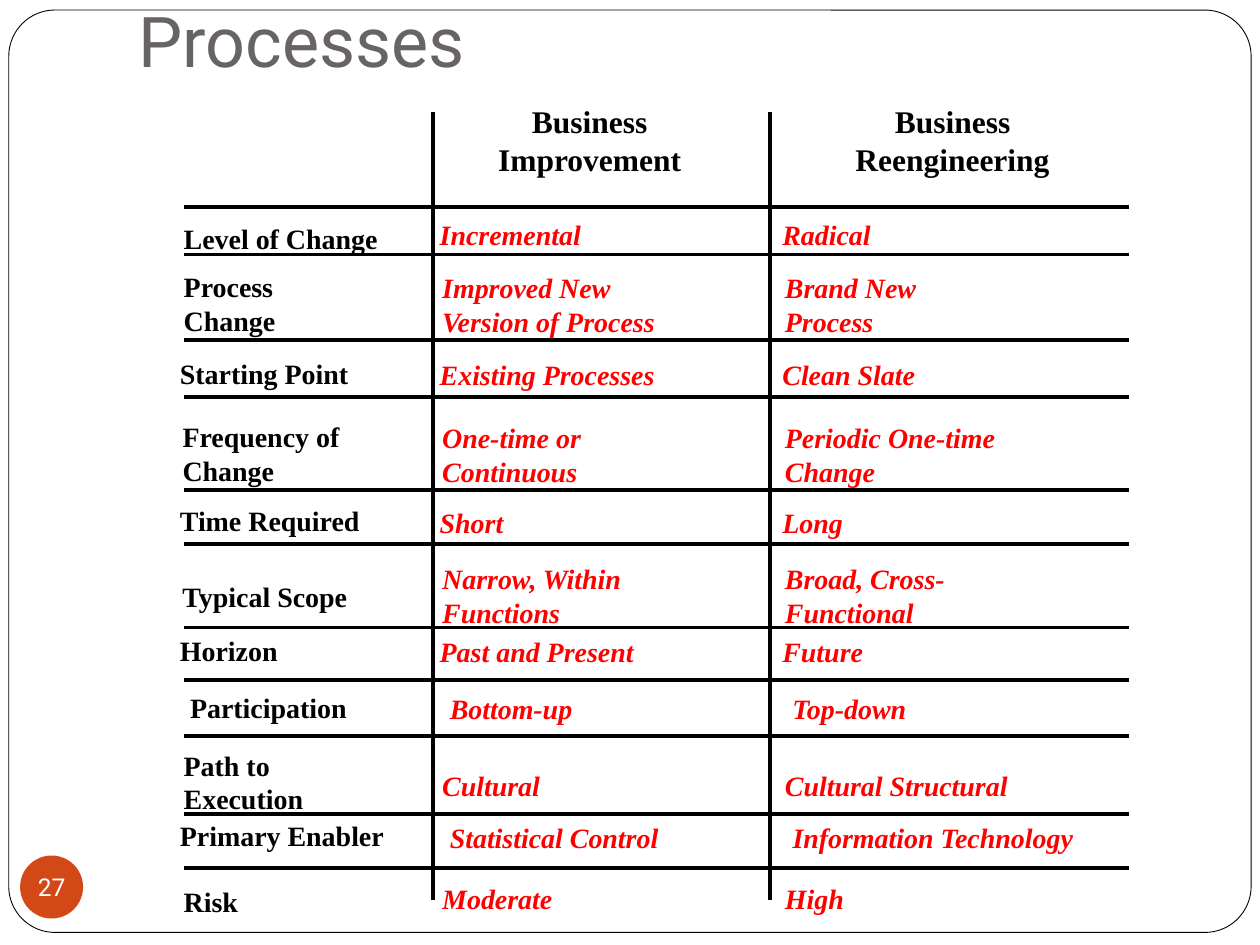
from pptx import Presentation
from pptx.dml.color import RGBColor
from pptx.enum.shapes import MSO_CONNECTOR, MSO_SHAPE
from pptx.enum.text import MSO_ANCHOR, MSO_AUTO_SIZE, PP_ALIGN
from pptx.oxml.ns import qn
from pptx.util import Inches, Pt

LEFT, CENTER = PP_ALIGN.LEFT, PP_ALIGN.CENTER
TOP, MIDDLE, BOTTOM = MSO_ANCHOR.TOP, MSO_ANCHOR.MIDDLE, MSO_ANCHOR.BOTTOM
FIT_SHAPE, NO_FIT = MSO_AUTO_SIZE.SHAPE_TO_FIT_TEXT, MSO_AUTO_SIZE.NONE

THEME = {
    "sans": "Roboto", "serif": "Times New Roman",
    "ink": "000000", "paper": "FFFFFF", "title": "696464",
    "accent": "D34817", "value": "FF0000",
    "title_size": 40, "header_size": 18, "body_size": 16, "number_size": 14,
    "rule": 2.25, "frame": 0.5,
}

# Content
TITLE = "Processes"
PAGE_NUMBER = "27"
# text, left, width
HEADERS = [("Business\nImprovement", 3.83, 1.70), ("Business\nReengineering", 6.67, 1.78)]
# label (text, left, top, width), value top, value indent, values (text, width)
ROWS = [
    (("Level of Change", 1.36, 1.71, 1.78), 1.67, 0,
     ("Incremental", 1.36), ("Radical", 0.94)),
    (("Process\nChange", 1.36, 2.09, 0.95), 2.09, 0.02,
     ("Improved New\nVersion of Process", 1.93), ("Brand New\nProcess", 1.28)),
    (("Starting Point", 1.33, 2.78, 1.57), 2.78, 0,
     ("Existing Processes", 1.95), ("Clean Slate", 1.29)),
    (("Frequency of\nChange", 1.35, 3.28, 1.48), 3.28, 0.02,
     ("One-time or\nContinuous", 1.34), ("Periodic One-time\nChange", 1.92)),
    (("Time Required", 1.33, 3.95, 1.67), 3.95, 0,
     ("Short", 0.74), ("Long", 0.71)),
    (("Typical Scope", 1.35, 4.55, 1.56), 4.40, 0.02,
     ("Narrow, Within\nFunctions", 1.66), ("Broad, Cross-\nFunctional", 1.51)),
    (("Horizon", 1.33, 4.98, 1.00), 4.98, 0,
     ("Past and Present", 1.78), ("Future", 0.87)),
    (("Participation", 1.41, 5.43, 1.48), 5.43, 0.08,
     ("Bottom-up", 1.21), ("Top-down", 1.14)),
    (("Path to\nExecution", 1.36, 5.89, 1.17), 6.04, 0.02,
     ("Cultural", 1.01), ("Cultural Structural", 2.02)),
    (("Primary Enabler", 1.33, 6.45, 1.86), 6.45, 0.08,
     ("Statistical Control", 1.91), ("Information Technology", 2.48)),
    (("Risk", 1.36, 6.97, 0.64), 6.94, 0.02,
     ("Moderate", 1.11), ("High", 0.70)),
]

# Grid
VALUE_LEFTS = (3.38, 6.10)
COLUMN_RULES = (3.44, 6.11)
COLUMN_SPAN = (0.89, 7.14)
ROW_RULES = (1.64, 2.02, 2.70, 3.15, 3.89, 4.32, 4.98, 5.40, 5.84, 6.46, 6.89)
ROW_SPAN = (1.46, 8.96)
HEADER_TOP = 0.75
LABEL_INSETS, VALUE_INSETS = (0.1, 0.05, 0.1, 0.05), (0.11, 0.06, 0.11, 0.06)


def color(name):
    return RGBColor.from_string(THEME[name])


def write(shape, text, size, ink, face="serif", align=LEFT, anchor=TOP,
          insets=LABEL_INSETS, wrap=False, fit=NO_FIT, bold=False, italic=False):
    frame = shape.text_frame
    frame.word_wrap, frame.auto_size, frame.vertical_anchor = wrap, fit, anchor
    (frame.margin_left, frame.margin_top,
     frame.margin_right, frame.margin_bottom) = map(Inches, insets)
    for index, line in enumerate(text.split("\n")):
        para = frame.add_paragraph() if index else frame.paragraphs[0]
        para.alignment = align
        span = para.add_run()
        span.text = line
        font = span.font
        font.name, font.size = THEME[face], Pt(THEME[size])
        font.bold, font.italic = bold, italic
        font.color.rgb = color(ink)


def add_cell(page, text, left, top, width, size="body_size", ink="ink", **style):
    lines = text.count("\n") + 1
    inset = style.get("insets", LABEL_INSETS)[1]
    height = lines * THEME[size] * 1.17 / 72 + 2 * inset
    box = page.shapes.add_textbox(*map(Inches, (left, top, width, height)))
    write(box, text, size, ink, fit=FIT_SHAPE, bold=True, **style)


def add_panel(page, kind, left, top, width, height, fill):
    panel = page.shapes.add_shape(kind, *map(Inches, (left, top, width, height)))
    panel.shadow.inherit = False
    panel.fill.solid()
    panel.fill.fore_color.rgb = color(fill)
    return panel


def add_rule(page, x1, y1, x2, y2):
    rule = page.shapes.add_connector(MSO_CONNECTOR.STRAIGHT, *map(Inches, (x1, y1, x2, y2)))
    rule.line.color.rgb = color("ink")
    rule.line.width = Pt(THEME["rule"])
    properties = rule._element.spPr
    properties.append(properties.makeelement(qn("a:effectLst"), {}))


def main():
    deck = Presentation()
    deck.slide_width, deck.slide_height = Inches(10), Inches(7.5)
    page = deck.slides.add_slide(deck.slide_layouts[5])

    # Frame, sent behind the title
    border = add_panel(page, MSO_SHAPE.ROUNDED_RECTANGLE, 0.07, 0.08, 9.86, 7.32, "paper")
    border.adjustments[0] = 0.05
    border.line.color.rgb = color("ink")
    border.line.width = Pt(THEME["frame"])
    page.shapes._spTree.insert(2, border._element)

    # Title
    title = page.shapes.title
    title.left, title.top, title.width, title.height = map(Inches, (1, 0, 8.5, 0.75))
    write(title, TITLE, "title_size", "title", face="sans", anchor=BOTTOM,
          insets=(0.1, 0, 0.1, 0.1), wrap=True)

    # Page number
    badge = add_panel(page, MSO_SHAPE.OVAL, 0.16, 6.79, 0.5, 0.5, "accent")
    badge.line.fill.background()
    write(badge, PAGE_NUMBER, "number_size", "paper", face="sans", align=CENTER,
          anchor=MIDDLE, insets=(0, 0, 0, 0))

    # Rules
    for x in COLUMN_RULES:
        add_rule(page, x, COLUMN_SPAN[0], x, COLUMN_SPAN[1])
    for y in ROW_RULES:
        add_rule(page, ROW_SPAN[0], y, ROW_SPAN[1], y)

    # Column headers
    for text, left, width in HEADERS:
        add_cell(page, text, left, HEADER_TOP, width, size="header_size",
                 align=CENTER, insets=VALUE_INSETS)

    # Comparison rows
    for label, top, indent, *values in ROWS:
        add_cell(page, *label)
        for left, (text, width) in zip(VALUE_LEFTS, values):
            add_cell(page, text, left + indent, top, width, ink="value",
                     italic=True, insets=VALUE_INSETS)

    deck.save("out.pptx")


if __name__ == "__main__":
    main()
